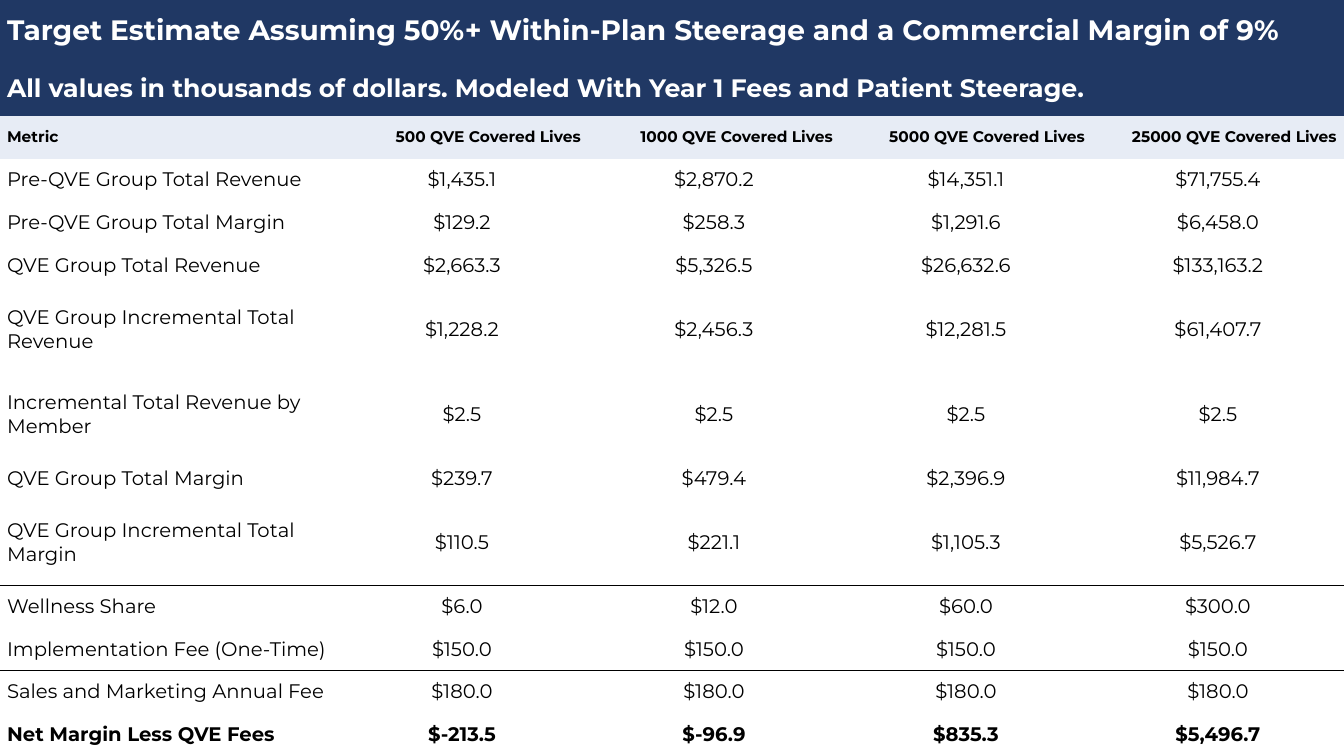
from lxml import etree
from pptx import Presentation
from pptx.dml.color import RGBColor
from pptx.enum.text import MSO_ANCHOR, PP_ALIGN
from pptx.oxml.ns import qn
from pptx.util import Inches, Pt

LEFT, CENTER, RIGHT = PP_ALIGN.LEFT, PP_ALIGN.CENTER, PP_ALIGN.RIGHT
MIDDLE = MSO_ANCHOR.MIDDLE
FONT = "Montserrat"
NAVY, PALE, WHITE, BLACK = "203864", "E7ECF5", "FFFFFF", "000000"
PLAIN_STYLE = "{2D5ABB26-0587-4C30-8999-92F81FD0307C}"  # no style, no grid

TITLES = [
    ("Target Estimate Assuming 50%+ Within-Plan Steerage and a Commercial Margin of 9%", 20, 0.6),
    ("All values in thousands of dollars. Modeled With Year 1 Fees and Patient Steerage.", 18, 0.55),
]
HEADER = ["Metric"] + [f"{n} QVE Covered Lives" for n in (500, 1000, 5000, 25000)]
METRICS = [
    ("Pre-QVE Group Total Revenue", "$1,435.1", "$2,870.2", "$14,351.1", "$71,755.4"),
    ("Pre-QVE Group Total Margin", "$129.2", "$258.3", "$1,291.6", "$6,458.0"),
    ("QVE Group Total Revenue", "$2,663.3", "$5,326.5", "$26,632.6", "$133,163.2"),
    ("QVE Group Incremental Total Revenue", "$1,228.2", "$2,456.3", "$12,281.5", "$61,407.7"),
    ("Incremental Total Revenue by Member", "$2.5", "$2.5", "$2.5", "$2.5"),
    ("QVE Group Total Margin", "$239.7", "$479.4", "$2,396.9", "$11,984.7"),
    ("QVE Group Incremental Total Margin", "$110.5", "$221.1", "$1,105.3", "$5,526.7"),
    ("Wellness Share", "$6.0", "$12.0", "$60.0", "$300.0"),
    ("Implementation Fee (One-Time)", "$150.0", "$150.0", "$150.0", "$150.0"),
    ("Sales and Marketing Annual Fee", "$180.0", "$180.0", "$180.0", "$180.0"),
    ("Net Margin Less QVE Fees", "$-213.5", "$-96.9", "$835.3", "$5,496.7"),
]
TALL = {"QVE Group Incremental Total Revenue", "Incremental Total Revenue by Member",
        "QVE Group Incremental Total Margin"}
RULED = {"QVE Group Incremental Total Margin", "Implementation Fee (One-Time)"}
COLUMN_SHARES = [4, 3, 3, 3, 3]


def fill_cell(cell, text, size, color=BLACK, bold=False, align=LEFT, fill=None):
    cell.margin_left = cell.margin_right = Inches(0.07)
    cell.margin_top = cell.margin_bottom = 0
    cell.vertical_anchor = MIDDLE
    if fill:
        cell.fill.solid()
        cell.fill.fore_color.rgb = RGBColor.from_string(fill)
    else:
        cell.fill.background()
    p = cell.text_frame.paragraphs[0]
    p.alignment = align
    r = p.add_run()
    r.text = text
    r.font.name, r.font.size, r.font.bold = FONT, Pt(size), bold
    r.font.color.rgb = RGBColor.from_string(color)


def rule_below(cell):
    ln = etree.Element(qn("a:lnB"), w=str(Pt(1)))
    solid = etree.SubElement(ln, qn("a:solidFill"))
    etree.SubElement(solid, qn("a:srgbClr"), val=BLACK)
    cell._tc.get_or_add_tcPr().insert(0, ln)


prs = Presentation()
prs.slide_width, prs.slide_height = Inches(13.33), Inches(7.5)
W, H = prs.slide_width, prs.slide_height
s = prs.slides.add_slide(prs.slide_layouts[6])

n_rows = len(TITLES) + 1 + len(METRICS)
table = s.shapes.add_table(n_rows, len(HEADER), 0, 0, W, H).table
table.first_row = table.horz_banding = False
table._tbl.tblPr.find(qn("a:tableStyleId")).text = PLAIN_STYLE
for column, share in zip(table.columns, COLUMN_SHARES):
    column.width = W * share // sum(COLUMN_SHARES)

# Title bands
for i, (text, size, height) in enumerate(TITLES):
    table.rows[i].height = Inches(height)
    table.cell(i, 0).merge(table.cell(i, len(HEADER) - 1))
    fill_cell(table.cell(i, 0), text, size, WHITE, True, fill=NAVY)

# The rest of the height is shared out; tall rows take two units
units = 1 + len(METRICS) + len(TALL)
unit = (H - sum(Inches(height) for _, _, height in TITLES)) // units

head = len(TITLES)
table.rows[head].height = unit
for j, text in enumerate(HEADER):
    fill_cell(table.cell(head, j), text, 11, bold=True, align=RIGHT if j else LEFT, fill=PALE)

for i, values in enumerate(METRICS, head + 1):
    metric = values[0]
    table.rows[i].height = unit * (2 if metric in TALL else 1)
    for j, text in enumerate(values):
        cell = table.cell(i, j)
        fill_cell(cell, text, 14, bold=i == n_rows - 1, align=CENTER if j else LEFT)
        if metric in RULED:
            rule_below(cell)

prs.save("out.pptx")
